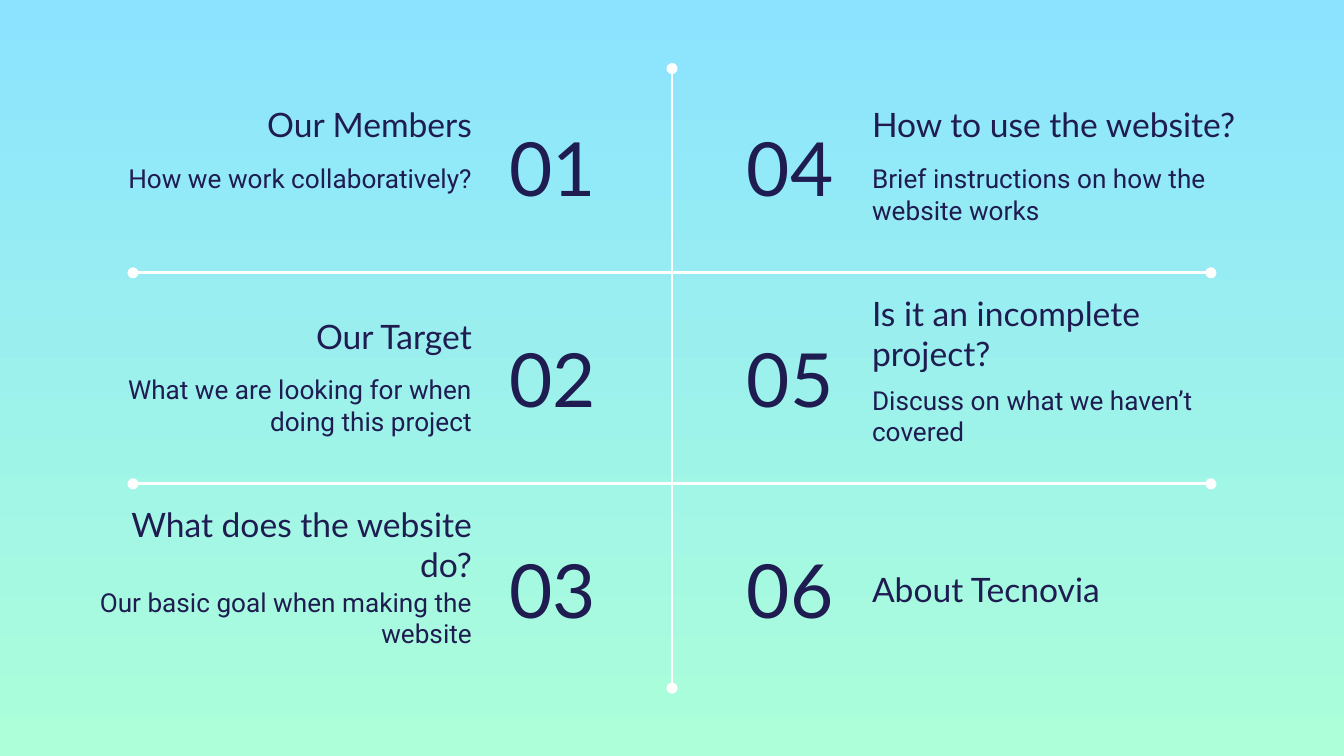
"""Build a six-part agenda slide with a white dividing grid."""
from lxml.etree import SubElement
from pptx import Presentation
from pptx.dml.color import RGBColor
from pptx.enum.shapes import MSO_CONNECTOR as Connector
from pptx.enum.text import MSO_ANCHOR as Anchor, PP_ALIGN as Align
from pptx.oxml.ns import qn
from pptx.util import Inches, Pt

COLORS = {"sky": "8BE3FF", "mint": "ACFFD9", "navy": "1F1C51", "white": "FFFFFF"}

deck = Presentation()
deck.slide_width, deck.slide_height = Inches(10), Inches(10 * 9 / 16)
page = deck.slides.add_slide(deck.slide_layouts[6])

backdrop = page.background.fill
backdrop.gradient()
backdrop.gradient_angle = 270
for stop, name, position in zip(backdrop.gradient_stops, ("sky", "mint"), (0, 1)):
    stop.color.rgb = RGBColor.from_string(COLORS[name])
    stop.position = position


def add_text(text, left, top, width, height, size, font, align, anchor):
    box = page.shapes.add_textbox(Inches(left), Inches(top), Inches(width), Inches(height))
    frame = box.text_frame
    frame.word_wrap = True
    frame.vertical_anchor = anchor
    frame.margin_left = frame.margin_right = Inches(0.1)
    frame.margin_top = frame.margin_bottom = Inches(0.1)
    paragraph = frame.paragraphs[0]
    paragraph.text = text
    paragraph.alignment = align
    paragraph.font.size = Pt(size)
    paragraph.font.name = font
    paragraph.font.color.rgb = RGBColor.from_string(COLORS["navy"])


dividers = [(5, 0.51, 5, 5.12), (0.99, 2.03, 9.01, 2.03), (0.99, 3.6, 9.01, 3.6)]
for ends in dividers:
    divider = page.shapes.add_connector(Connector.STRAIGHT, *map(Inches, ends))
    divider.line.color.rgb = RGBColor.from_string(COLORS["white"])
    divider.line.width = Pt(1.5)
    outline = divider.line._get_or_add_ln()
    for tag in ("a:headEnd", "a:tailEnd"):
        SubElement(outline, qn(tag), type="oval")
    SubElement(divider._element.spPr, qn("a:effectLst"))

columns = [
    (3.69, Align.LEFT, 0.63, Align.RIGHT, [
        ("Our Members", 0.67, "How we work collaboratively?", 1.11),
        ("Our Target", 2.25, "What we are looking for when doing this project", 2.68),
        ("What does the website do?", 3.95, "Our basic goal when making the website", 4.26),
    ]),
    (5, Align.RIGHT, 6.39, Align.LEFT, [
        ("How to use the website?", 0.67, "Brief instructions on how the website works", 1.11),
        ("Is it an incomplete project?", 2.38, "Discuss on what we haven’t covered", 2.76),
        ("About Tecnovia", 4.13, None, None),
    ]),
]
for column, (number_left, number_align, text_left, text_align, topics) in enumerate(columns):
    for row, (heading, heading_top, detail, detail_top) in enumerate(topics):
        number = f"{column * 3 + row + 1:02d}"
        add_text(number, number_left, 0.81 + row * 1.57, 1.3, 0.86, 40, "Lato",
                 number_align, Anchor.MIDDLE)
        add_text(heading, text_left, heading_top, 2.98, 0.5, 18, "Lato",
                 text_align, Anchor.BOTTOM)
        if detail:
            add_text(detail, text_left, detail_top, 2.98, 0.69, 14, "Roboto",
                     text_align, Anchor.TOP)

deck.save("out.pptx")
